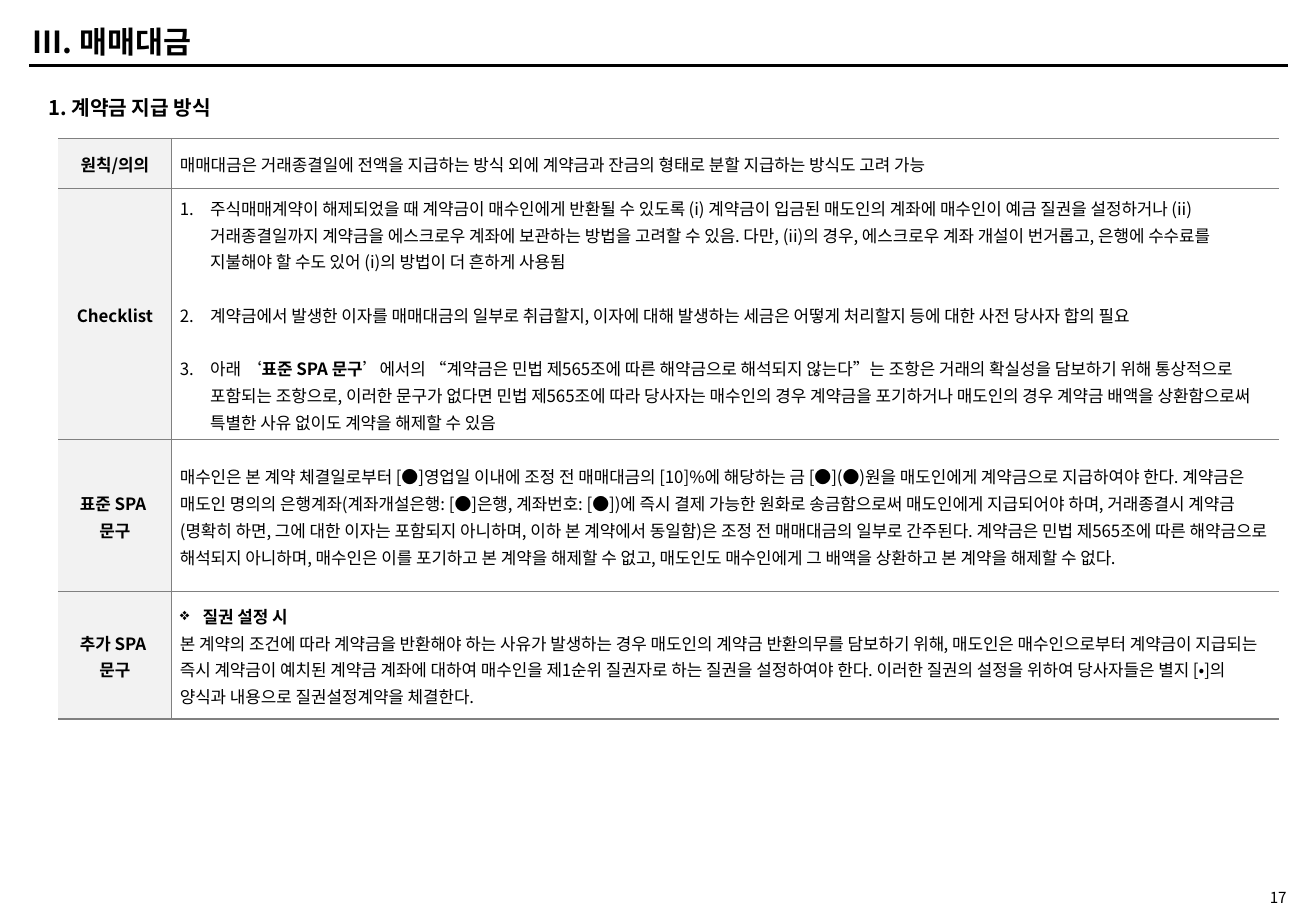
"""Build the slide on how the contract deposit is paid."""
from lxml.etree import SubElement
from pptx import Presentation
from pptx.dml.color import RGBColor
from pptx.enum.shapes import MSO_CONNECTOR
from pptx.enum.text import MSO_ANCHOR, PP_ALIGN
from pptx.oxml.ns import qn
from pptx.util import Pt

LABEL_FILL = "F2F2F2"
LABEL_WIDTH, BODY_WIDTH = 67, 656.6
BLANK_LINE = 15.9

CHECKLIST = [
    ["주식매매계약이 해제되었을 때 계약금이 매수인에게 반환될 수 있도록 (i) 계약금이 입금된 매도인의 계좌에 매수인이 예금 질권을 "
     "설정하거나 (ii) 거래종결일까지 계약금을 에스크로우 계좌에 보관하는 방법을 고려할 수 있음. 다만, (ii)의 경우, 에스크로우 "
     "계좌 개설이 번거롭고, 은행에 수수료를 지불해야 할 수도 있어 (i)의 방법이 더 흔하게 사용됨"],
    ["계약금에서 발생한 이자를 매매대금의 일부로 취급할지, 이자에 대해 발생하는 세금은 어떻게 처리할지 등에 대한 사전 당사자 합의 필요"],
    ["아래 ‘", ("표준 SPA 문구", True),
     "’에서의 “계약금은 민법 제565조에 따른 해약금으로 해석되지 않는다”는 조항은 거래의 확실성을 담보하기 위해 통상적으로 "
     "포함되는 조항으로, 이러한 문구가 없다면 민법 제565조에 따라 당사자는 매수인의 경우 계약금을 포기하거나 매도인의 경우 "
     "계약금 배액을 상환함으로써 특별한 사유 없이도 계약을 해제할 수 있음"],
]

ROWS = [
    ("원칙/의의", 29.5, [
        dict(text="매매대금은 거래종결일에 전액을 지급하는 방식 외에 계약금과 잔금의 형태로 분할 지급하는 방식도 고려 가능")]),
    ("Checklist", 149, [
        dict(text=item, bullet="1.", indent=18, before=BLANK_LINE if number else 0)
        for number, item in enumerate(CHECKLIST)]),
    ("표준 SPA \n문구", 90, [
        dict(text="매수인은 본 계약 체결일로부터 [●]영업일 이내에 조정 전 매매대금의 [10]%에 해당하는 금 [●](●)원을 매도인에게 "
                  "계약금으로 지급하여야 한다. 계약금은 매도인 명의의 은행계좌(계좌개설은행: [●]은행, 계좌번호: [●])에 즉시 결제 "
                  "가능한 원화로 송금함으로써 매도인에게 지급되어야 하며, 거래종결시 계약금(명확히 하면, 그에 대한 이자는 포함되지 "
                  "아니하며, 이하 본 계약에서 동일함)은 조정 전 매매대금의 일부로 간주된다. 계약금은 민법 제565조에 따른 "
                  "해약금으로 해석되지 아니하며, 매수인은 이를 포기하고 본 계약을 해제할 수 없고, 매도인도 매수인에게 그 배액을 "
                  "상환하고 본 계약을 해제할 수 없다.")]),
    ("추가 SPA \n문구", 75.6, [
        dict(text="질권 설정 시", bold=True, bullet="❖", indent=13.5),
        dict(text="본 계약의 조건에 따라 계약금을 반환해야 하는 사유가 발생하는 경우 매도인의 계약금 반환의무를 담보하기 위해, "
                  "매도인은 매수인으로부터 계약금이 지급되는 즉시 계약금이 예치된 계약금 계좌에 대하여 매수인을 제1순위 질권자로 "
                  "하는 질권을 설정하여야 한다. 이러한 질권의 설정을 위하여 당사자들은 별지 [•]의 양식과 내용으로 "
                  "질권설정계약을 체결한다.")]),
]


def color(value):
    return RGBColor.from_string(value)


class SlideBuilder:
    font_name = "Noto Sans CJK KR"
    ink = "000000"
    rule = "808080"

    def __init__(self, slide):
        self.slide = slide

    def add_text(self, para, text, size=10, bold=False, align=PP_ALIGN.LEFT,
                 spacing=None, before=0, bullet=None, indent=0):
        para.alignment = align
        para.space_before = Pt(before)
        if spacing:
            para.line_spacing = spacing
        if bullet:
            properties = para._p.get_or_add_pPr()
            properties.set("marL", str(Pt(indent)))
            properties.set("indent", str(-Pt(indent)))
            if bullet == "1.":
                SubElement(properties, qn("a:buAutoNum"), type="arabicPeriod")
            else:
                SubElement(properties, qn("a:buChar"), char=bullet)
        for part in [text] if isinstance(text, str) else text:
            words, strong = (part, bold) if isinstance(part, str) else part
            for number, line in enumerate(words.split("\n")):
                if number:
                    para.add_line_break()
                span = para.add_run()
                span.text = line
                span.font.size = Pt(size)
                span.font.bold = strong
                span.font.color.rgb = color(self.ink)
                span.font.name = self.font_name
                SubElement(span._r.get_or_add_rPr(), qn("a:ea"), typeface=self.font_name)

    def text_box(self, left, top, width, height, text, margin=3.6, **style):
        box = self.slide.shapes.add_textbox(Pt(left), Pt(top), Pt(width), Pt(height))
        frame = box.text_frame
        frame.word_wrap = True
        frame.vertical_anchor = MSO_ANCHOR.MIDDLE
        frame.margin_top = frame.margin_bottom = Pt(margin)
        self.add_text(frame.paragraphs[0], text, **style)

    def line(self, left, top, right, width):
        connector = self.slide.shapes.add_connector(
            MSO_CONNECTOR.STRAIGHT, Pt(left), Pt(top), Pt(right), Pt(top))
        connector.line.color.rgb = color(self.ink)
        connector.line.width = Pt(width)
        SubElement(connector._element.spPr, qn("a:effectLst"))

    def cell(self, cell, paragraphs, sides, fill=None):
        properties = cell._tc.get_or_add_tcPr()
        for side in "LRTB":
            border = SubElement(properties, qn(f"a:ln{side}"), w=str(Pt(1)))
            if side in sides:
                paint = SubElement(border, qn("a:solidFill"))
                SubElement(paint, qn("a:srgbClr"), val=self.rule)
            else:
                SubElement(border, qn("a:noFill"))
        if fill:
            cell.fill.solid()
            cell.fill.fore_color.rgb = color(fill)
        else:
            cell.fill.background()
        cell.vertical_anchor = MSO_ANCHOR.MIDDLE
        cell.margin_left = cell.margin_right = Pt(5)
        cell.margin_top = cell.margin_bottom = Pt(0)
        frame = cell.text_frame
        for number, style in enumerate(paragraphs):
            para = frame.add_paragraph() if number else frame.paragraphs[0]
            self.add_text(para, spacing=1.1, **style)

    def table(self, left, top, widths, rows):
        height = sum(row[1] for row in rows)
        table = self.slide.shapes.add_table(
            len(rows), len(widths), Pt(left), Pt(top), Pt(sum(widths)), Pt(height)).table
        table.first_row = table.horz_banding = False
        for column, width in zip(table.columns, widths):
            column.width = Pt(width)
        for row, (label, row_height, paragraphs) in zip(table.rows, rows):
            row.height = Pt(row_height)
            heading = dict(text=label, bold=True, align=PP_ALIGN.CENTER)
            self.cell(row.cells[0], [heading], "RTB", LABEL_FILL)
            self.cell(row.cells[1], paragraphs, "LTB")


def main():
    deck = Presentation()
    deck.slide_width, deck.slide_height = Pt(780), Pt(540)
    page = SlideBuilder(deck.slides.add_slide(deck.slide_layouts[6]))
    page.line(17.3, 38.9, 763.2, 2)
    page.text_box(12.2, 10.8, 368, 27.4, "III. 매매대금", size=18, bold=True)
    page.text_box(21.6, 52.6, 292.3, 21.6, "1. 계약금 지급 방식", size=12, bold=True)
    page.table(34.6, 82.1, [LABEL_WIDTH, BODY_WIDTH], ROWS)
    page.text_box(702, 526.3, 67.7, 10.8, "17", margin=0, size=9, align=PP_ALIGN.RIGHT)
    deck.save("out.pptx")


if __name__ == "__main__":
    main()
